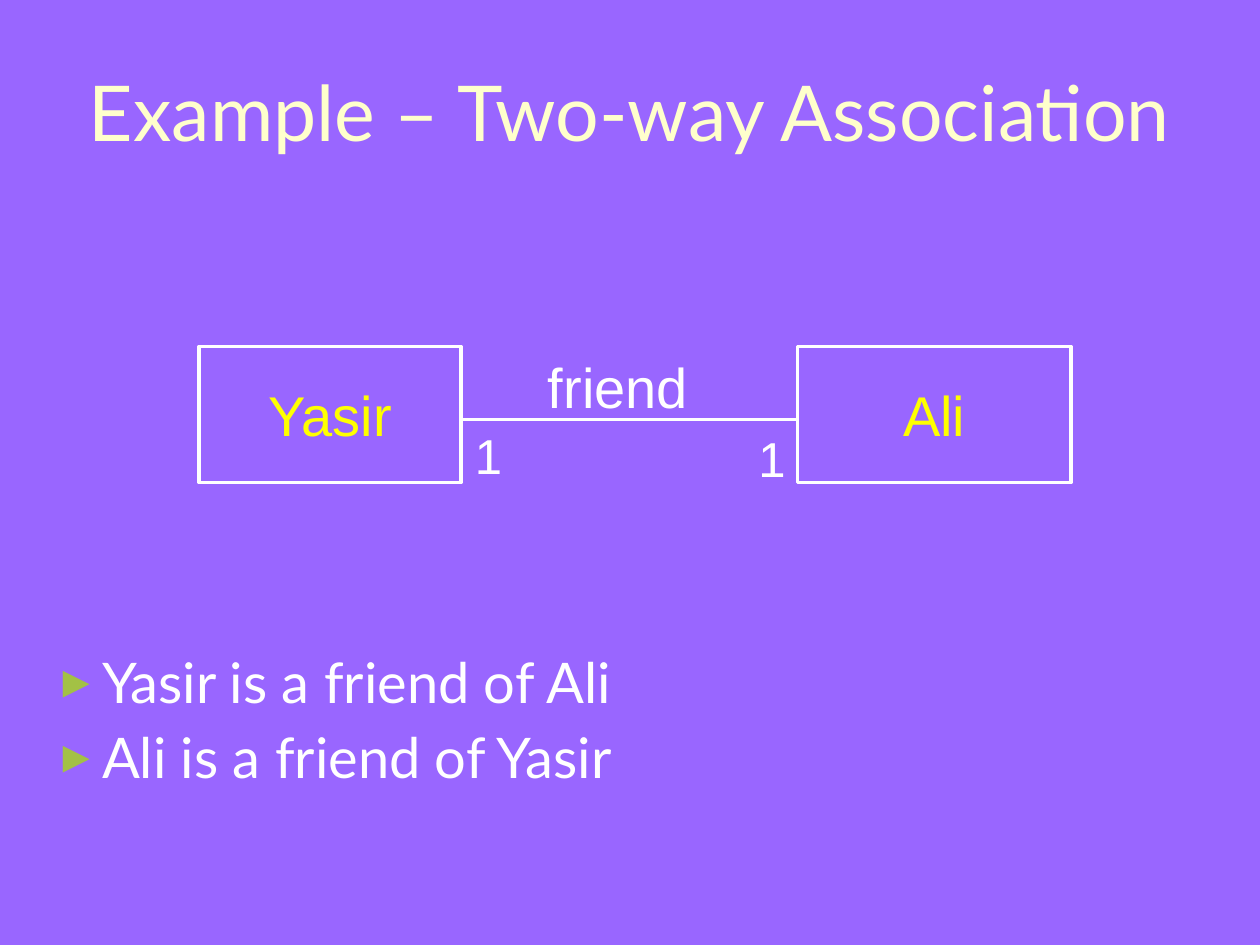
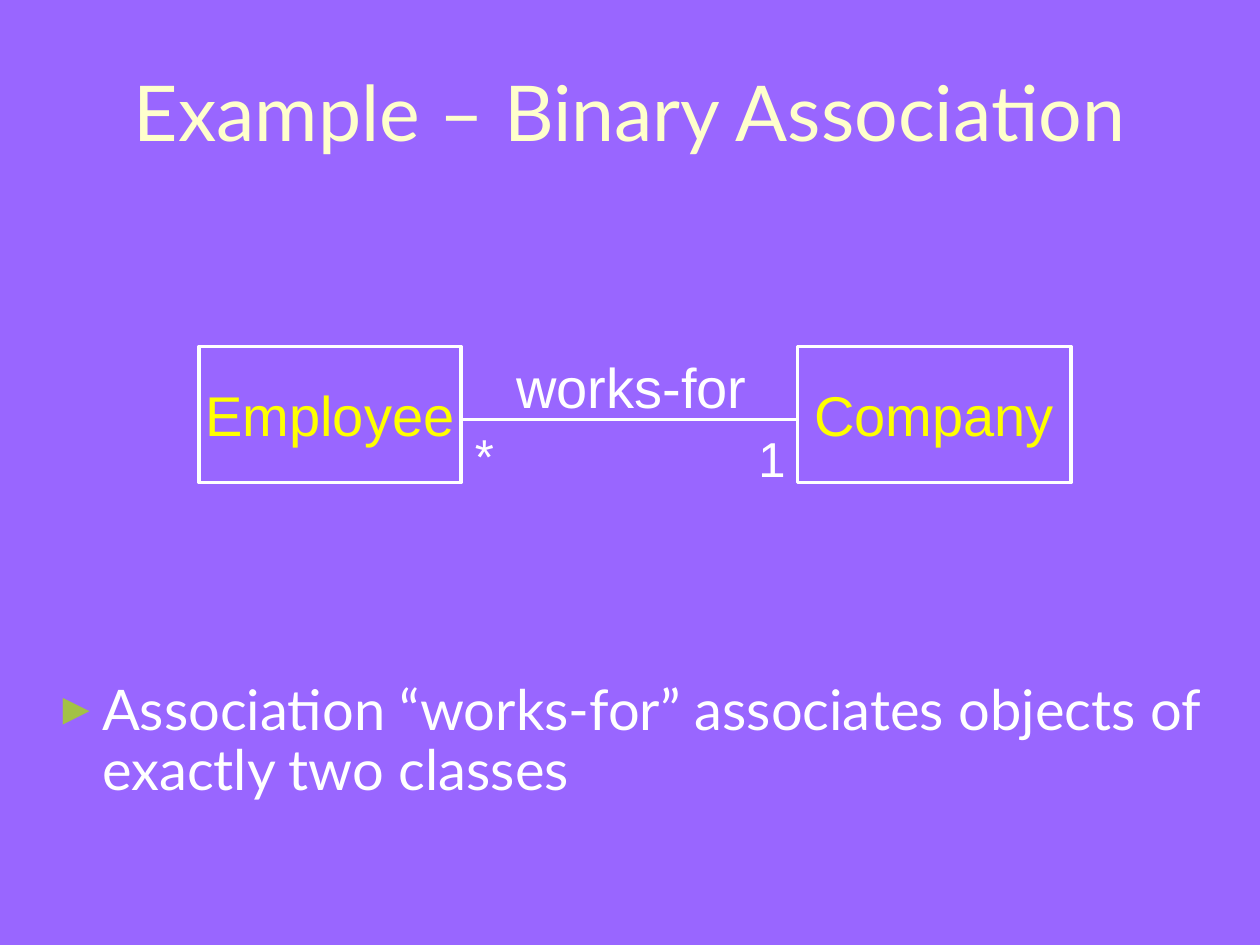
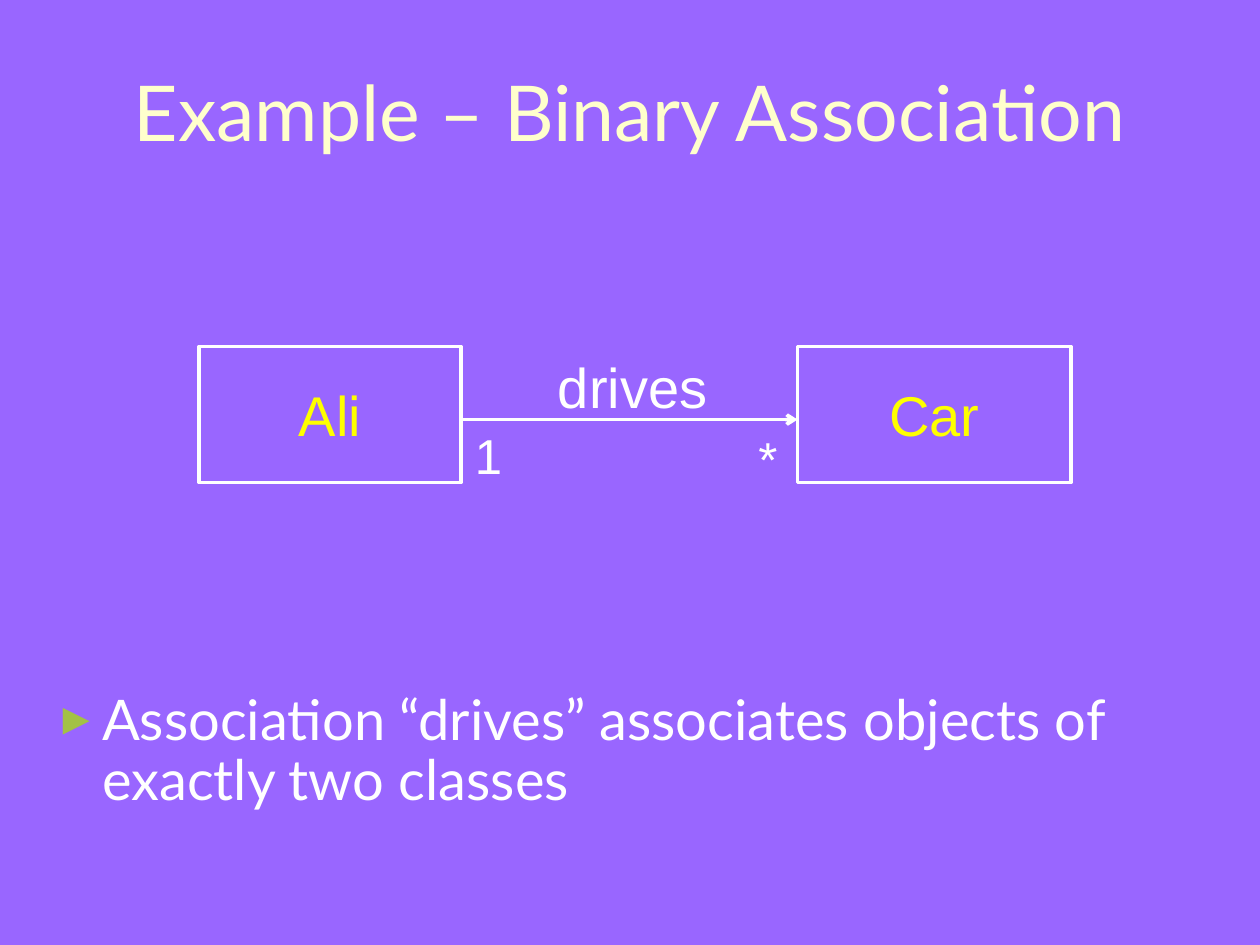
"""Build three slides that show example associations between two classes."""
import lxml.etree
import pptx
import pptx.dml.color
import pptx.enum.shapes
import pptx.enum.text
import pptx.oxml.ns
import pptx.util

Inches = pptx.util.Inches
Pt = pptx.util.Pt
RGBColor = pptx.dml.color.RGBColor
PP_ALIGN = pptx.enum.text.PP_ALIGN
MSO_ANCHOR = pptx.enum.text.MSO_ANCHOR
MSO_AUTO_SIZE = pptx.enum.text.MSO_AUTO_SIZE
qn = pptx.oxml.ns.qn

SLIDES = [
    {
        "title": "Example – Two-way Association",
        "classes": ("Yasir", "Ali"),
        "association": "friend",
        "label_span": (4.25, 1.33),
        "multiplicities": ("1", "1"),
        "directed": False,
        "points": ["Yasir is a friend of Ali", "Ali is a friend of Yasir"],
        "points_span": (5.15, 1.24),
    },
    {
        "title": "Example – Binary Association",
        "classes": ("Employee", "Company"),
        "association": "works-for",
        "label_span": (4, 2.08),
        "multiplicities": ("*", "1"),
        "directed": False,
        "points": ["Association “works-for” associates objects of exactly two classes"],
        "points_span": (5.36, 1.11),
    },
    {
        "title": "Example – Binary Association",
        "classes": ("Ali", "Car"),
        "association": "drives",
        "label_span": (4.33, 1.58),
        "multiplicities": ("1", "*"),
        "directed": True,
        "points": ["Association “drives” associates objects of exactly two classes"],
        "points_span": (5.44, 1.11),
    },
]

PURPLE = RGBColor(0x99, 0x66, 0xFF)
CREAM = RGBColor(0xFF, 0xFF, 0xCC)
YELLOW = RGBColor(0xFF, 0xFF, 0x00)
WHITE = RGBColor(0xFF, 0xFF, 0xFF)
GREEN = RGBColor(0xA3, 0xC1, 0x45)

TEXT_FONT, DIAGRAM_FONT = "Lato", "Arial"
MARGIN, CONTENT_WIDTH = 0.33, 9.34
DIAGRAM_TOP, CLASS_HEIGHT = 2.75, 1.08
CLASS_SPANS = [(1.58, 2.08), (6.33, 2.17)]
LINE_START, LINE_END, LINE_TOP = 3.67, 6.33, 3.33
MULTIPLICITY_CORNERS = [(3.67, 3.33), (5.92, 3.35)]
LINE_WIDTH = Pt(2)


def place(shape, left, top, width, height):
    shape.left, shape.top = Inches(left), Inches(top)
    shape.width, shape.height = Inches(width), Inches(height)


def add_run(paragraph, text, size, font, color):
    run = paragraph.add_run()
    run.text = text
    run.font.size = Pt(size)
    run.font.name = font
    run.font.color.rgb = color


def add_title(slide, text):
    title = slide.shapes.title
    place(title, MARGIN, 0.25, CONTENT_WIDTH, 1.25)
    frame = title.text_frame
    frame.auto_size = MSO_AUTO_SIZE.NONE
    frame.vertical_anchor = MSO_ANCHOR.MIDDLE
    frame.paragraphs[0].alignment = PP_ALIGN.CENTER
    add_run(frame.paragraphs[0], text, 44, TEXT_FONT, CREAM)


def add_bullet(paragraph):
    properties = paragraph._p.get_or_add_pPr()
    properties.set("marL", str(Inches(0.38)))
    properties.set("indent", str(-Inches(0.38)))
    color = lxml.etree.SubElement(properties, qn("a:buClr"))
    lxml.etree.SubElement(color, qn("a:srgbClr"), val=str(GREEN))
    lxml.etree.SubElement(properties, qn("a:buSzPct"), val="80000")
    lxml.etree.SubElement(properties, qn("a:buFont"), typeface=DIAGRAM_FONT)
    lxml.etree.SubElement(properties, qn("a:buChar"), char="►")


def add_points(slide, points, top, height):
    body = slide.placeholders[1]
    place(body, MARGIN, top, CONTENT_WIDTH, height)
    frame = body.text_frame
    frame.auto_size = MSO_AUTO_SIZE.NONE
    for index, point in enumerate(points):
        paragraph = frame.add_paragraph() if index else frame.paragraphs[0]
        paragraph.line_spacing = 0.9
        paragraph.space_before = Pt(8)
        add_bullet(paragraph)
        add_run(paragraph, point, 32, TEXT_FONT, WHITE)


def add_class(slide, name, left, width):
    box = slide.shapes.add_shape(
        pptx.enum.shapes.MSO_SHAPE.RECTANGLE,
        Inches(left), Inches(DIAGRAM_TOP), Inches(width), Inches(CLASS_HEIGHT))
    box.shadow.inherit = False
    box.fill.background()
    box.line.color.rgb = WHITE
    box.line.width = LINE_WIDTH
    frame = box.text_frame
    frame.word_wrap = False
    frame.vertical_anchor = MSO_ANCHOR.MIDDLE
    frame.paragraphs[0].alignment = PP_ALIGN.CENTER
    add_run(frame.paragraphs[0], name, 32, DIAGRAM_FONT, YELLOW)


def add_label(slide, text, left, top, width, height, size):
    label = slide.shapes.add_textbox(
        Inches(left), Inches(top), Inches(width), Inches(height))
    frame = label.text_frame
    frame.word_wrap = True
    frame.auto_size = MSO_AUTO_SIZE.SHAPE_TO_FIT_TEXT
    paragraph = frame.paragraphs[0]
    paragraph.space_before = Pt(size * 0.625)
    add_run(paragraph, text, size, DIAGRAM_FONT, WHITE)


def add_association_line(slide, directed):
    connector = slide.shapes.add_connector(
        pptx.enum.shapes.MSO_CONNECTOR.STRAIGHT,
        Inches(LINE_START), Inches(LINE_TOP), Inches(LINE_END), Inches(LINE_TOP))
    connector.line.color.rgb = WHITE
    connector.line.width = LINE_WIDTH
    properties = connector._element.spPr
    if directed:
        lxml.etree.SubElement(properties.find(qn("a:ln")), qn("a:tailEnd"), type="arrow")
    lxml.etree.SubElement(properties, qn("a:effectLst"))


def add_association_slide(presentation, content):
    slide = presentation.slides.add_slide(presentation.slide_layouts[1])
    add_title(slide, content["title"])
    add_points(slide, content["points"], *content["points_span"])
    for name, (left, width) in zip(content["classes"], CLASS_SPANS):
        add_class(slide, name, left, width)
    add_association_line(slide, content["directed"])
    left, width = content["label_span"]
    add_label(slide, content["association"], left, DIAGRAM_TOP, width, 0.64, 32)
    for text, (left, top) in zip(content["multiplicities"], MULTIPLICITY_CORNERS):
        add_label(slide, text, left, top, 0.42, 0.57, 28)


def main():
    presentation = pptx.Presentation()
    presentation.slide_width, presentation.slide_height = Inches(10), Inches(7.5)
    background = presentation.slide_master.background.fill
    background.solid()
    background.fore_color.rgb = PURPLE
    for content in SLIDES:
        add_association_slide(presentation, content)
    presentation.save("out.pptx")


if __name__ == "__main__":
    main()
